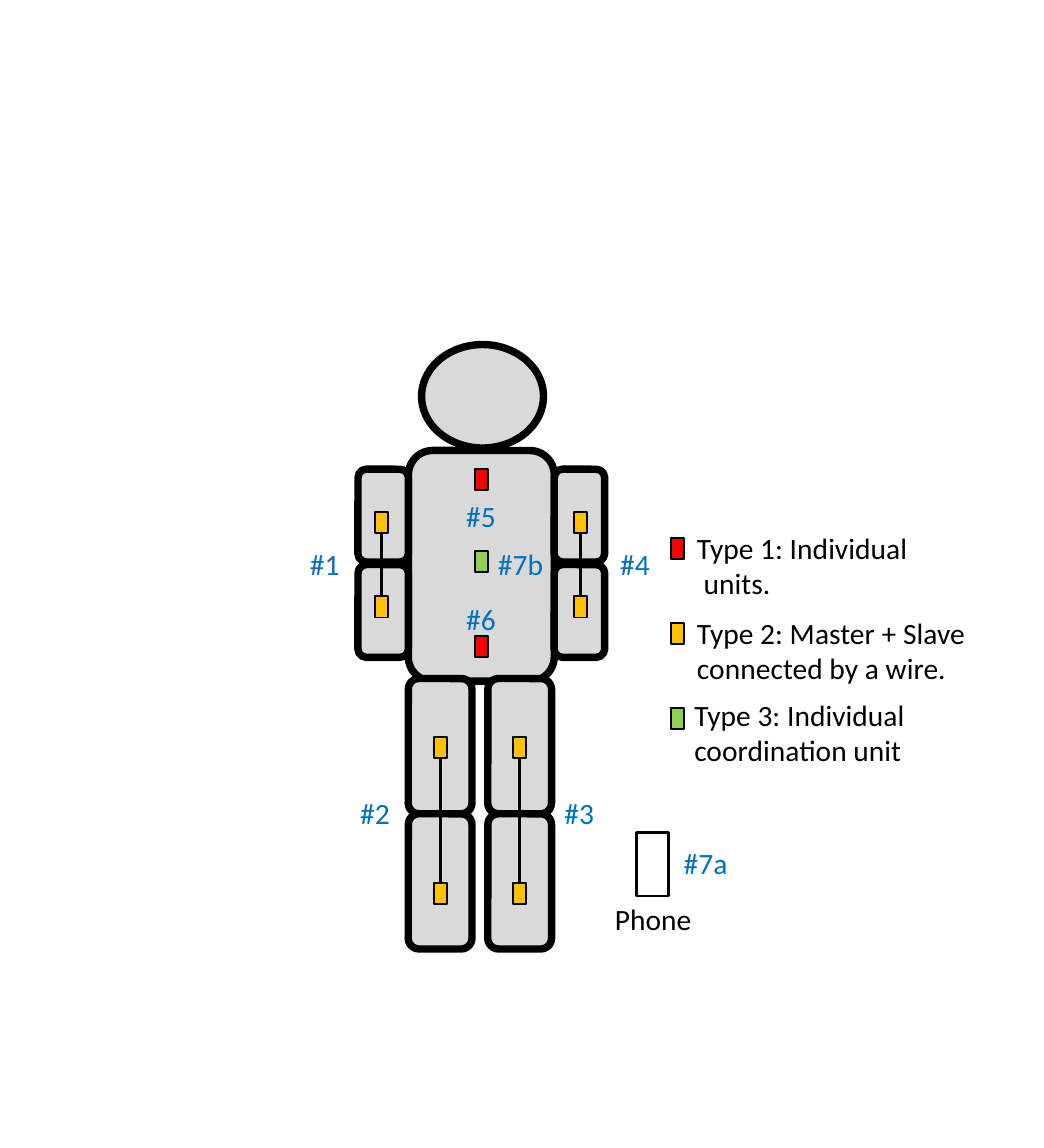
from pptx import Presentation
from pptx.dml.color import RGBColor
from pptx.enum.shapes import MSO_CONNECTOR, MSO_SHAPE
from pptx.enum.text import MSO_AUTO_SIZE
from pptx.oxml.ns import qn
from pptx.util import Inches, Pt
from lxml.etree import SubElement

BLACK, WHITE, BODY = "000000", "FFFFFF", "D9D9D9"
RED, ORANGE, GREEN, BLUE = "FF0000", "FFC000", "92D050", "0070C0"
UNIT_WIDTH, UNIT_HEIGHT = 0.05, 0.08
CM_PER_INCH = 2.54


def color(value):
    return RGBColor.from_string(value)


class Diagram:
    font_name = "Calibri"
    font_size = 8

    def __init__(self, slide):
        self.slide = slide

    def outlined(self, kind, left, top, width, height, fill, line_width):
        shape = self.slide.shapes.add_shape(
            kind, Inches(left), Inches(top), Inches(width), Inches(height))
        shape.shadow.inherit = False
        shape.fill.solid()
        shape.fill.fore_color.rgb = color(fill)
        shape.line.color.rgb = color(BLACK)
        shape.line.width = Pt(line_width)

    def body_part(self, left, top, width, height, kind=MSO_SHAPE.ROUNDED_RECTANGLE):
        self.outlined(kind, left, top, width, height, BODY, 2)

    def unit(self, left, top, fill):
        self.outlined(MSO_SHAPE.RECTANGLE, left, top, UNIT_WIDTH, UNIT_HEIGHT, fill, 0.5)

    def wire(self, x, top, bottom):
        connector = self.slide.shapes.add_connector(
            MSO_CONNECTOR.STRAIGHT, Inches(x), Inches(top), Inches(x), Inches(bottom))
        connector.line.color.rgb = color(BLACK)
        connector.line.width = Pt(0.75)
        SubElement(connector._element.spPr, qn("a:effectLst"))

    def wired_pair(self, center, upper, lower):
        for top in (upper, lower):
            self.unit(center - UNIT_WIDTH / 2, top, ORANGE)
        self.wire(center, upper + UNIT_HEIGHT, lower)

    def text(self, left, top, width, height, lines, text_color):
        box = self.slide.shapes.add_textbox(
            Inches(left), Inches(top), Inches(width), Inches(height))
        frame = box.text_frame
        frame.word_wrap = False
        frame.auto_size = MSO_AUTO_SIZE.SHAPE_TO_FIT_TEXT
        for index, line in enumerate(lines):
            paragraph = frame.add_paragraph() if index else frame.paragraphs[0]
            run = paragraph.add_run()
            run.text = line
            run.font.name = self.font_name
            run.font.size = Pt(self.font_size)
            run.font.color.rgb = color(text_color)


def main():
    # Slide of 10 by 11 centimetres
    presentation = Presentation()
    presentation.slide_width = Inches(10 / CM_PER_INCH)
    presentation.slide_height = Inches(11 / CM_PER_INCH)
    diagram = Diagram(presentation.slides.add_slide(presentation.slide_layouts[6]))

    # Torso and head
    diagram.body_part(1.54, 1.7, 0.55, 0.87)
    diagram.body_part(1.59, 1.3, 0.46, 0.39, MSO_SHAPE.OVAL)

    # Arms and legs, each of two segments
    for left in (1.35, 2.09):
        for top in (1.77, 2.13):
            diagram.body_part(left, top, 0.19, 0.35)
    for left in (1.54, 1.84):
        for top in (2.56, 3.07):
            diagram.body_part(left, top, 0.24, 0.51)

    # Wired units on the limbs
    for center in (1.44, 2.19):
        diagram.wired_pair(center, 1.93, 2.25)
    for center in (1.66, 1.96):
        diagram.wired_pair(center, 2.78, 3.33)

    # Individual units on the torso
    for top, fill in ((1.77, RED), (2.08, GREEN), (2.4, RED)):
        diagram.unit(1.79, top, fill)

    # Phone
    diagram.outlined(MSO_SHAPE.RECTANGLE, 2.4, 3.14, 0.12, 0.24, WHITE, 0.75)
    diagram.text(2.22, 3.35, 0.49, 0.24, ["Phone"], BLACK)

    # Unit numbers
    for label, left, top, width in (
        ("#1", 1.07, 2.01, 0.31),
        ("#2", 1.26, 2.95, 0.31),
        ("#3", 2.03, 2.95, 0.31),
        ("#4", 2.24, 2.01, 0.31),
        ("#5", 1.66, 1.83, 0.31),
        ("#6", 1.66, 2.22, 0.31),
        ("#7a", 2.48, 3.14, 0.37),
        ("#7b", 1.78, 2.01, 0.37),
    ):
        diagram.text(left, top, width, 0.24, [label], BLUE)

    # Legend
    for fill, unit_top, left, top, width, lines in (
        (RED, 2.03, 2.53, 1.95, 1.01, ["Type 1: Individual", " units."]),
        (ORANGE, 2.35, 2.53, 2.27, 1.25, ["Type 2: Master + Slave", "connected by a wire."]),
        (GREEN, 2.67, 2.52, 2.58, 1.03, ["Type 3: Individual", "coordination unit"]),
    ):
        diagram.unit(2.53, unit_top, fill)
        diagram.text(left, top, width, 0.37, lines, BLACK)

    presentation.save("out.pptx")


if __name__ == "__main__":
    main()
